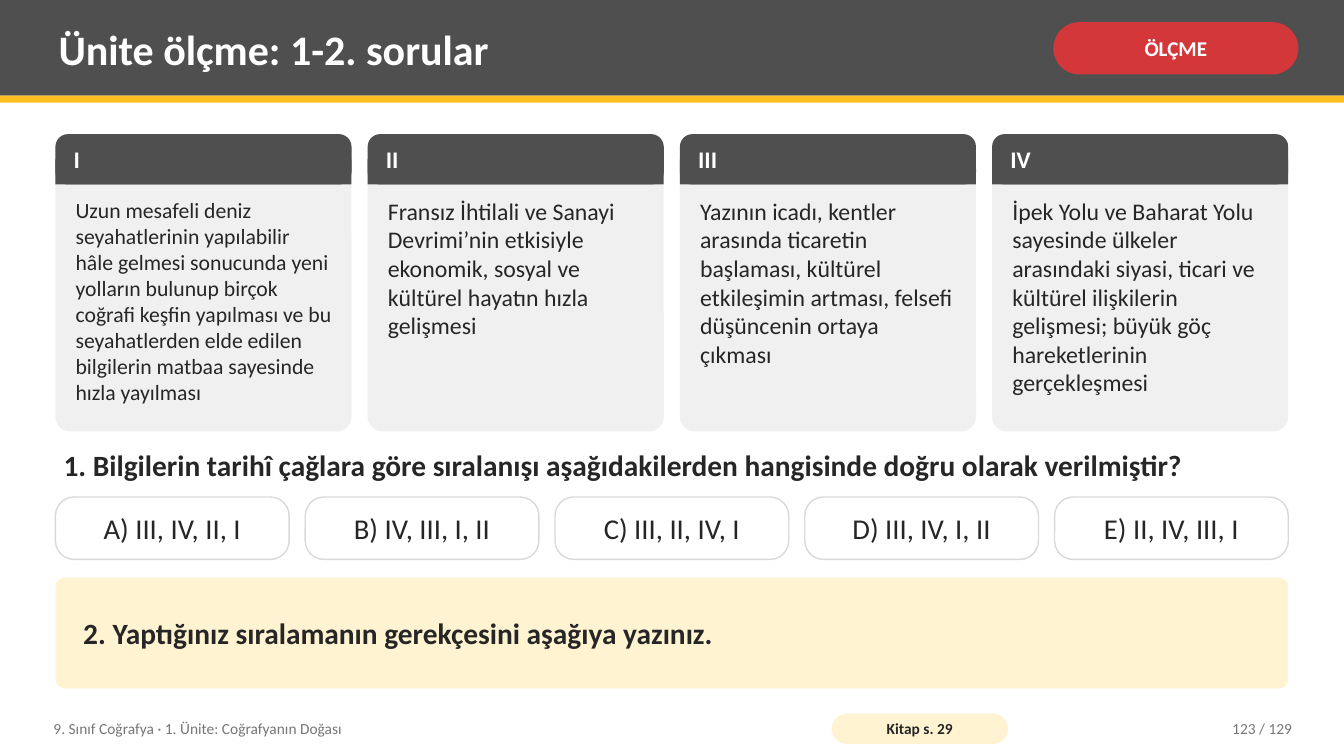
"""Builds the unit assessment slide with four period cards and two questions."""
from pptx import Presentation
from pptx.dml.color import RGBColor
from pptx.enum.shapes import MSO_SHAPE
from pptx.enum.text import MSO_ANCHOR, PP_ALIGN
from pptx.util import Pt

TITLE = "Ünite ölçme: 1-2. sorular"
BADGE = "ÖLÇME"
CARDS = [
    ("I", "Uzun mesafeli deniz seyahatlerinin yapılabilir hâle gelmesi sonucunda yeni "
          "yolların bulunup birçok coğrafi keşfin yapılması ve bu seyahatlerden elde "
          "edilen bilgilerin matbaa sayesinde hızla yayılması", 15.5),
    ("II", "Fransız İhtilali ve Sanayi Devrimi’nin etkisiyle ekonomik, sosyal ve "
           "kültürel hayatın hızla gelişmesi", 17),
    ("III", "Yazının icadı, kentler arasında ticaretin başlaması, kültürel etkileşimin "
            "artması, felsefi düşüncenin ortaya çıkması", 17),
    ("IV", "İpek Yolu ve Baharat Yolu sayesinde ülkeler arasındaki siyasi, ticari ve "
           "kültürel ilişkilerin gelişmesi; büyük göç hareketlerinin gerçekleşmesi", 17),
]
QUESTION_1 = ("1. Bilgilerin tarihî çağlara göre sıralanışı aşağıdakilerden hangisinde "
              "doğru olarak verilmiştir?")
OPTIONS = ["A) III, IV, II, I", "B) IV, III, I, II", "C) III, II, IV, I",
           "D) III, IV, I, II", "E) II, IV, III, I"]
QUESTION_2 = "2. Yaptığınız sıralamanın gerekçesini aşağıya yazınız."
COURSE = "9. Sınıf Coğrafya · 1. Ünite: Coğrafyanın Doğası"
BOOK_PAGE = "Kitap s. 29"
PAGE_NUMBER = "123 / 129"

FONT = "Calibri"
WHITE = RGBColor(0xFF, 0xFF, 0xFF)
DARK = RGBColor(0x4F, 0x4F, 0x4F)
YELLOW = RGBColor(0xFC, 0xC0, 0x21)
RED = RGBColor(0xD3, 0x37, 0x3A)
PALE = RGBColor(0xF0, 0xF0, 0xF0)
CREAM = RGBColor(0xFF, 0xF3, 0xD1)
INK = RGBColor(0x26, 0x26, 0x26)
GREY = RGBColor(0x76, 0x76, 0x76)
BORDER = RGBColor(0xD9, 0xD9, 0xD9)

RECTANGLE = MSO_SHAPE.RECTANGLE
ROUNDED = MSO_SHAPE.ROUNDED_RECTANGLE
LEFT, CENTER, RIGHT = PP_ALIGN.LEFT, PP_ALIGN.CENTER, PP_ALIGN.RIGHT
TOP, MIDDLE = MSO_ANCHOR.TOP, MSO_ANCHOR.MIDDLE

SLIDE_WIDTH, SLIDE_HEIGHT = 960, 540
MARGIN, CONTENT_WIDTH, GAP = 39.6, 880.6, 11.5
CARD_TOP, CARD_HEIGHT, HEADER_HEIGHT = 95.8, 212.4, 36


def write(shape, text, size, color, bold=False, align=LEFT, anchor=MIDDLE, insets=(5.8, 2.9)):
    """Put one formatted paragraph into a shape."""
    frame = shape.text_frame
    frame.word_wrap = True
    frame.vertical_anchor = anchor
    frame.margin_left = frame.margin_right = Pt(insets[0])
    frame.margin_top = frame.margin_bottom = Pt(insets[1])
    frame.text = text
    paragraph = frame.paragraphs[0]
    paragraph.alignment = align
    font = paragraph.runs[0].font
    font.name, font.size, font.bold = FONT, Pt(size), bold
    font.color.rgb = color


def add_label(slide, box, *text, **style):
    """Add a text box."""
    write(slide.shapes.add_textbox(*map(Pt, box)), *text, **style)


def add_panel(slide, box, fill, radius=None, line=None):
    """Add a filled rectangle, rounded when a radius is given."""
    kind = RECTANGLE if radius is None else ROUNDED
    shape = slide.shapes.add_shape(kind, *map(Pt, box))
    shape.shadow.inherit = False
    if radius is not None:
        shape.adjustments[0] = radius
    shape.fill.solid()
    shape.fill.fore_color.rgb = fill
    if line is None:
        shape.line.fill.background()
    else:
        shape.line.color.rgb = line
        shape.line.width = Pt(1)
    return shape


def columns(count):
    """Return the left edges and the width of equal columns."""
    width = (CONTENT_WIDTH - GAP * (count - 1)) / count
    return [MARGIN + index * (width + GAP) for index in range(count)], width


def add_card(slide, left, width, numeral, text, size):
    """Add a card with a header that is square at its lower edge."""
    half = HEADER_HEIGHT / 2
    add_panel(slide, (left, CARD_TOP, width, CARD_HEIGHT), PALE, 0.05)
    add_panel(slide, (left, CARD_TOP, width, HEADER_HEIGHT), DARK, 0.25)
    add_panel(slide, (left, CARD_TOP + half, width, half), DARK)
    add_label(slide, (left + 7.2, CARD_TOP, width - 14.4, HEADER_HEIGHT),
              numeral, 17, WHITE, bold=True)
    add_label(slide, (left + 8.6, CARD_TOP + 41.7, width - 17.2, 165),
              text, size, INK, anchor=TOP)


def main():
    """Build and save the slide."""
    presentation = Presentation()
    presentation.slide_width, presentation.slide_height = Pt(SLIDE_WIDTH), Pt(SLIDE_HEIGHT)
    slide = presentation.slides.add_slide(presentation.slide_layouts[6])

    add_panel(slide, (0, 0, SLIDE_WIDTH, 68.4), DARK)
    add_panel(slide, (0, 68.4, SLIDE_WIDTH, 5), YELLOW)
    add_label(slide, (36, 5, 702, 59), TITLE, 30, WHITE, bold=True)
    badge = add_panel(slide, (752.4, 15.8, 175, 37.4), RED, 0.5)
    write(badge, BADGE, 15, WHITE, bold=True, align=CENTER, insets=(3.6, 1.4))

    lefts, width = columns(len(CARDS))
    for left, card in zip(lefts, CARDS):
        add_card(slide, left, width, *card)

    add_label(slide, (MARGIN, 314, CONTENT_WIDTH, 36), QUESTION_1, 21, INK, bold=True)
    lefts, width = columns(len(OPTIONS))
    for left, option in zip(lefts, OPTIONS):
        button = add_panel(slide, (left, 355, width, 44.6), WHITE, 0.3, BORDER)
        write(button, option, 20.5, INK, align=CENTER, insets=(10, 5.8))

    answer = add_panel(slide, (MARGIN, 412.6, CONTENT_WIDTH, 79), CREAM, 0.08)
    write(answer, QUESTION_2, 21, INK, bold=True, insets=(18, 5.8))

    add_label(slide, (32.4, 507, 547, 26), COURSE, 11, GREY)
    book = add_panel(slide, (594, 509.8, 126, 21.6), CREAM, 0.5)
    write(book, BOOK_PAGE, 11, INK, bold=True, align=CENTER, insets=(2.9, 0))
    add_label(slide, (813.6, 507, 115.2, 26), PAGE_NUMBER, 11, GREY, align=RIGHT)

    presentation.save("out.pptx")


if __name__ == "__main__":
    main()
